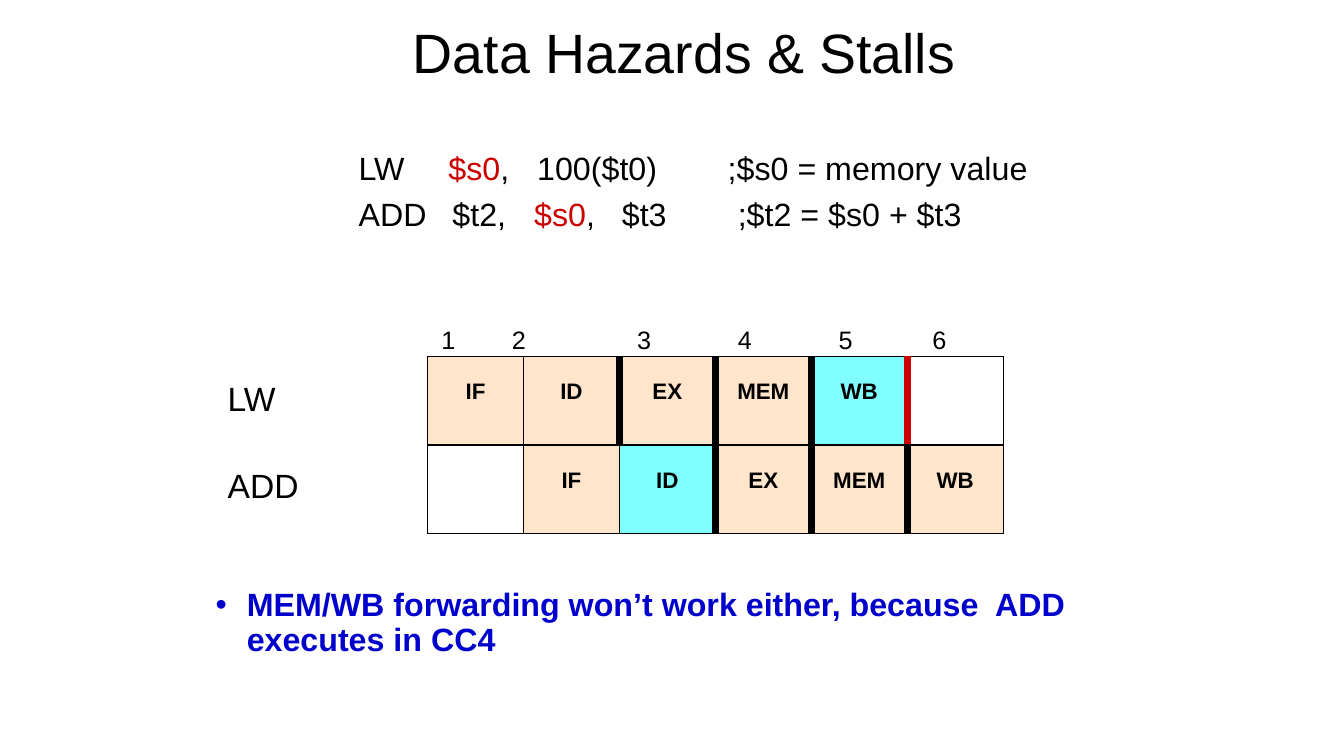
from dataclasses import dataclass

from lxml.etree import SubElement
from pptx import Presentation
from pptx.dml.color import RGBColor
from pptx.enum.shapes import MSO_SHAPE
from pptx.enum.text import MSO_ANCHOR, PP_ALIGN
from pptx.oxml import parse_xml
from pptx.oxml.ns import nsdecls, qn
from pptx.util import Inches, Pt


@dataclass(frozen=True)
class Theme:
    font: str = "Arial"
    black: str = "000000"
    red: str = "CC0000"
    blue: str = "0000CC"
    peach: str = "FFCC99"
    cyan: str = "00FFFF"
    title: float = 39.6
    label: float = 24
    body: float = 23
    cycle: float = 18
    stage: float = 16


@dataclass(frozen=True)
class Edge:
    width: float = 1
    color: str = Theme.black


@dataclass(frozen=True)
class CodeLine:
    runs: list[tuple[str, str]]
    tabs: list[float]


@dataclass(frozen=True)
class PipelineRow:
    stages: list[str]
    highlighted: str
    edges: list[Edge]


T = Theme()
THIN, THICK, RED = Edge(), Edge(6), Edge(6, T.red)

CODE = [
    CodeLine([("LW\t", T.black), ("$s0", T.red),
              (",\t100($t0)\t;$s0 = memory value", T.black)],
             [0.89, 1.77, 3.66]),
    CodeLine([("ADD\t$t2,\t", T.black), ("$s0", T.red),
              (",\t$t3\t;$t2 = $s0 + $t3", T.black)],
             [0.93, 1.74, 2.61, 3.76]),
]
PIPELINE = [
    PipelineRow(["IF", "ID", "EX", "MEM", "WB", ""], "WB",
                [THIN, THIN, THICK, THICK, THICK, RED, THIN]),
    PipelineRow(["", "IF", "ID", "EX", "MEM", "WB"], "ID",
                [THIN, THIN, THIN, THICK, THICK, THICK, THIN]),
]
CYCLE_TABS = [0.2, 0.9, 2.14, 3.14, 4.14, 5.07]


def write(p, text: str, *, size: float, color: str = T.black,
          bold: bool = False, align=None, line: float | None = None,
          before: float | None = None) -> None:
    """Add one formatted run to a paragraph."""
    if align is not None:
        p.alignment = align
    if line is not None:
        p.line_spacing = line
    if before is not None:
        p.space_before = Pt(before)
    r = p.add_run()
    r.text = text
    r.font.name, r.font.size, r.font.bold = T.font, Pt(size), bold
    r.font.color.rgb = RGBColor.from_string(color)


def add_box(s, x: float, y: float, w: float, h: float):
    tf = s.shapes.add_textbox(Inches(x), Inches(y), Inches(w), Inches(h)).text_frame
    tf.word_wrap = True
    return tf


def next_paragraph(tf, index: int):
    return tf.add_paragraph() if index else tf.paragraphs[0]


def set_tabs(p, stops: list[float]) -> None:
    tab_list = SubElement(p._p.get_or_add_pPr(), qn("a:tabLst"))
    for stop in stops:
        SubElement(tab_list, qn("a:tab"), pos=str(Inches(stop)), algn="l")


def set_borders(cell, left: Edge, right: Edge) -> None:
    tc_pr = cell._tc.get_or_add_tcPr()
    sides = {"lnL": left, "lnR": right, "lnT": THIN, "lnB": THIN}
    for i, (tag, edge) in enumerate(sides.items()):
        tc_pr.insert(i, parse_xml(
            f'<a:{tag} {nsdecls("a")} w="{Pt(edge.width)}"><a:solidFill>'
            f'<a:srgbClr val="{edge.color}"/></a:solidFill></a:{tag}>'))


def fill_cell(cell, color: str) -> None:
    cell.fill.solid()
    cell.fill.fore_color.rgb = RGBColor.from_string(color)
    clr = cell._tc.tcPr.find(f'{qn("a:solidFill")}/{qn("a:srgbClr")}')
    SubElement(clr, qn("a:alpha"), val="50000")


def add_pipeline(s, x: float, y: float, w: float, h: float) -> None:
    cols = len(PIPELINE[0].stages)
    table = s.shapes.add_table(len(PIPELINE), cols, Inches(x), Inches(y),
                               Inches(w), Inches(h)).table
    table.first_row = table.horz_banding = False
    for i, row in enumerate(PIPELINE):
        for j, stage in enumerate(row.stages):
            cell = table.cell(i, j)
            cell.margin_left = cell.margin_right = cell.margin_bottom = Inches(0.05)
            cell.margin_top = Inches(0.25)
            if stage:
                write(cell.text_frame.paragraphs[0], stage, size=T.stage,
                      bold=True, align=PP_ALIGN.CENTER, line=0.9)
                fill_cell(cell, T.cyan if stage == row.highlighted else T.peach)
            else:
                cell.fill.background()
            set_borders(cell, row.edges[j], row.edges[j + 1])


def add_conclusion(s, text: str) -> None:
    sp = s.shapes.add_shape(MSO_SHAPE.ROUNDED_RECTANGLE, Inches(2), Inches(5.75),
                            Inches(9.42), Inches(1.08))
    sp.adjustments[0] = 0.125
    sp.shadow.inherit = False
    sp.fill.background()
    sp.line.fill.background()
    tf = sp.text_frame
    tf.word_wrap = True
    tf.vertical_anchor = MSO_ANCHOR.TOP
    p = tf.paragraphs[0]
    p_pr = p._p.get_or_add_pPr()
    p_pr.set("marL", str(Inches(0.31)))
    p_pr.set("indent", str(-Inches(0.31)))
    SubElement(p_pr, qn("a:buFont"), typeface=T.font)
    SubElement(p_pr, qn("a:buChar"), char="•")
    write(p, text, size=T.body, color=T.blue, bold=True,
          align=PP_ALIGN.LEFT, line=0.9)


def main() -> None:
    prs = Presentation()
    prs.slide_width, prs.slide_height = Inches(13.33), Inches(7.5)
    s = prs.slides.add_slide(prs.slide_layouts[6])

    # Title
    tf = add_box(s, 1.91, 0.17, 9.75, 0.67)
    tf.vertical_anchor = MSO_ANCHOR.MIDDLE
    write(tf.paragraphs[0], "Data Hazards & Stalls", size=T.title,
          align=PP_ALIGN.CENTER)

    # Instruction listing, columns on tab stops
    tf = add_box(s, 3.46, 1.42, 8.2, 1)
    for i, code in enumerate(CODE):
        p = next_paragraph(tf, i)
        set_tabs(p, code.tabs)
        for text, color in code.runs:
            write(p, text, size=T.body, color=color, before=5.5 if i else None)

    # Row labels
    tf = add_box(s, 2.16, 3.7, 1.2, 1.38)
    for i, name in enumerate(["LW", "ADD"]):
        write(next_paragraph(tf, i), name, size=T.label, before=33 if i else None)

    # Pipeline stages and clock cycle numbers
    add_pipeline(s, 4.24, 3.54, 5.71, 1.75)
    p = add_box(s, 4.08, 3.17, 5.8, 0.4).paragraphs[0]
    set_tabs(p, CYCLE_TABS)
    cycles = range(1, len(CYCLE_TABS) + 1)
    write(p, "".join(f"\t{n}" for n in cycles), size=T.cycle)

    # Conclusion
    add_conclusion(s, "MEM/WB forwarding won’t work either, because  ADD executes in CC4")

    prs.save("out.pptx")


if __name__ == "__main__":
    main()
